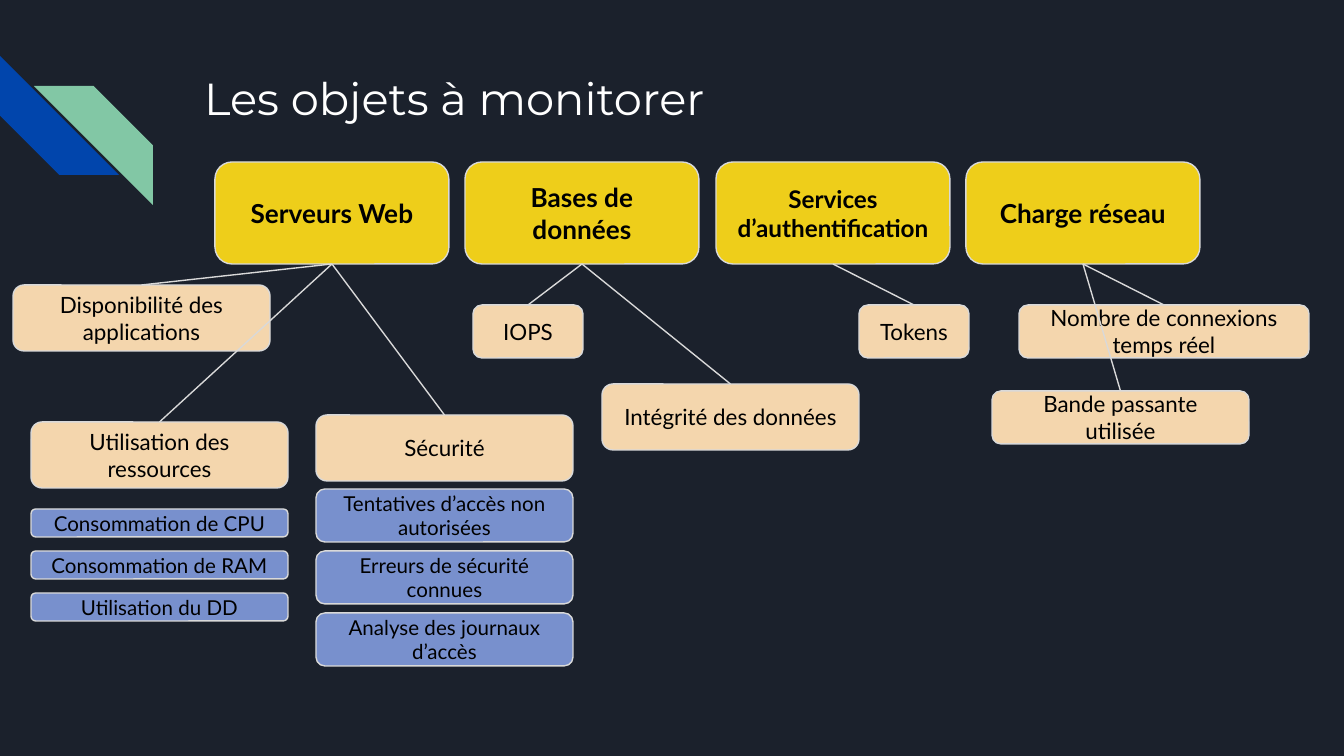
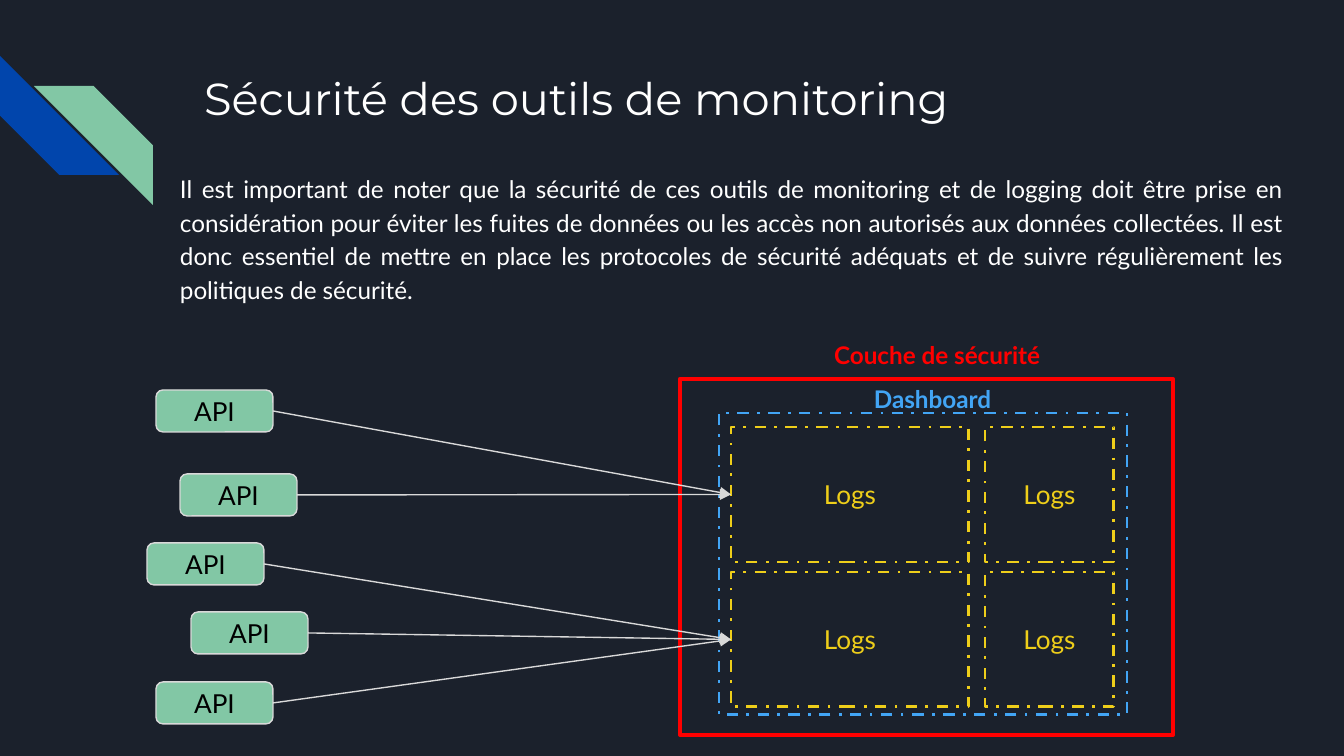
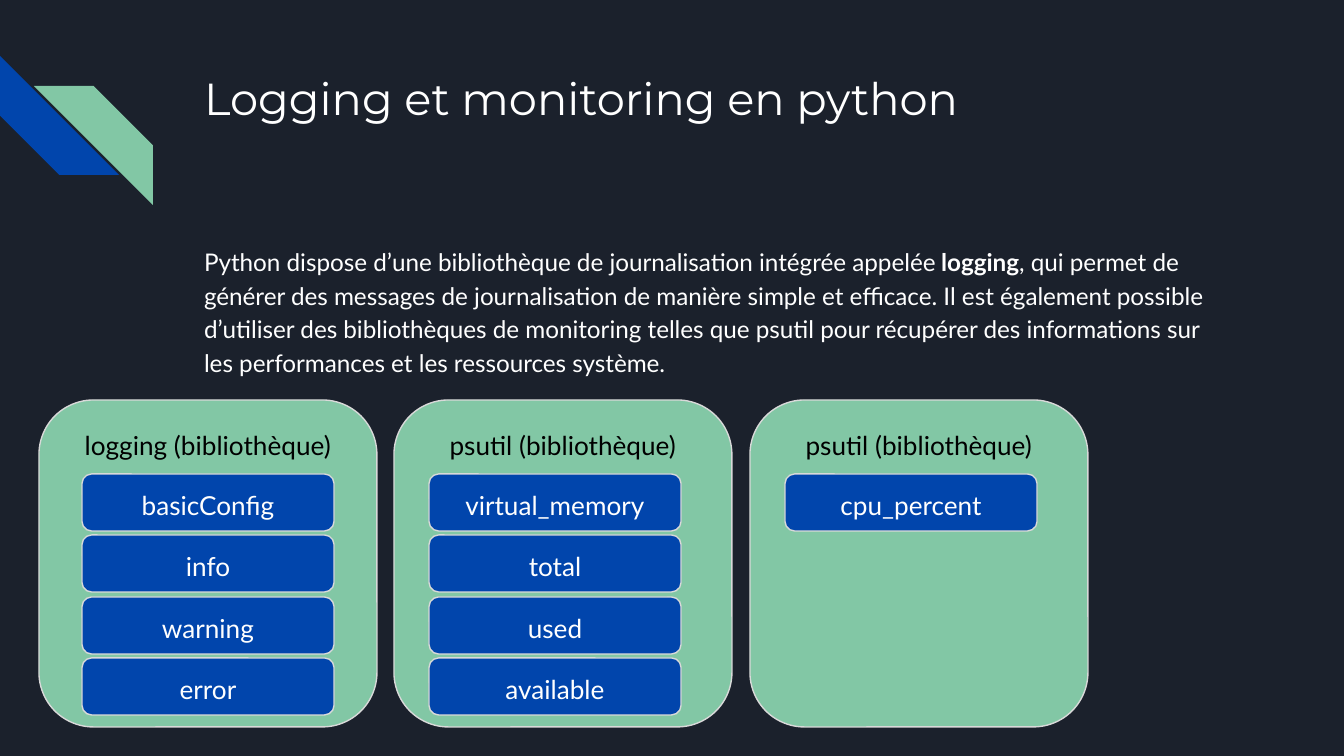
from dataclasses import dataclass

from lxml.etree import SubElement
from pptx import Presentation
from pptx.dml.color import RGBColor
from pptx.enum.dml import MSO_LINE
from pptx.enum.shapes import MSO_CONNECTOR, MSO_SHAPE
from pptx.enum.text import MSO_ANCHOR, MSO_AUTO_SIZE, PP_ALIGN
from pptx.oxml.ns import qn
from pptx.util import Emu, Inches, Pt


@dataclass(frozen=True)
class Theme:
    background: str = "1B212C"
    white: str = "FFFFFF"
    black: str = "000000"
    outline: str = "D9D9D9"
    blue: str = "0145AC"
    green: str = "82C7A5"
    yellow: str = "EECE1A"
    peach: str = "F4D6AD"
    periwinkle: str = "7890CD"
    sky: str = "42A5F5"
    red: str = "FF0000"
    title_font: str = "Montserrat"
    body_font: str = "Lato"
    title_size: int = 24
    label_size: int = 14
    body_size: int = 13
    leaf_size: int = 12
    detail_size: int = 11
    thin: float = 0.75
    dashed: float = 1.5
    frame: float = 2.25


T = Theme()
INSET = 13


def px(n):
    return Emu(round(n * Inches(10) / 1344))


def rgb(color):
    return RGBColor.from_string(color)


def place(sp, x, y, w, h):
    sp.left, sp.top, sp.width, sp.height = px(x), px(y), px(w), px(h)


def setup_frame(tf, anchor=MSO_ANCHOR.TOP, auto_size=MSO_AUTO_SIZE.NONE):
    tf.word_wrap = True
    tf.auto_size = auto_size
    tf.vertical_anchor = anchor
    tf.margin_left = tf.margin_right = tf.margin_top = tf.margin_bottom = px(INSET)


def add_run(p, text, size, color, bold=False, font=T.body_font):
    r = p.add_run()
    r.text = text
    r.font.name = font
    r.font.size = Pt(size)
    r.font.bold = bold
    r.font.color.rgb = rgb(color)


def add_title(s, text):
    sp = s.shapes.title
    place(sp, 191, 58, 1035, 134)
    setup_frame(sp.text_frame)
    p = sp.text_frame.paragraphs[0]
    p.alignment = PP_ALIGN.LEFT
    add_run(p, text, T.title_size, T.white, font=T.title_font)


def format_body(p, align):
    p.alignment = align
    p.line_spacing = 1.15
    p.space_before = Pt(0)
    p.space_after = Pt(12)


def add_label(s, at, text, color):
    sp = s.shapes.add_textbox(*map(px, at))
    setup_frame(sp.text_frame)
    p = sp.text_frame.paragraphs[0]
    p.alignment = PP_ALIGN.CENTER
    add_run(p, text, T.body_size, color, bold=True)


def add_box(s, kind, at, fill=None, line=T.outline, width=T.thin, dash=None):
    sp = s.shapes.add_shape(kind, *map(px, at))
    sp.shadow.inherit = False
    if fill:
        sp.fill.solid()
        sp.fill.fore_color.rgb = rgb(fill)
    else:
        sp.fill.background()
    if line:
        sp.line.color.rgb = rgb(line)
        sp.line.width = Pt(width)
        if dash:
            sp.line.dash_style = dash
    else:
        sp.line.fill.background()
    return sp


def write_centred(sp, text, size, color, bold=False, anchor=MSO_ANCHOR.MIDDLE):
    setup_frame(sp.text_frame, anchor)
    p = sp.text_frame.paragraphs[0]
    p.alignment = PP_ALIGN.CENTER
    add_run(p, text, size, color, bold)


def add_card(s, at, text, fill, size, color=T.black, bold=False, anchor=MSO_ANCHOR.MIDDLE):
    sp = add_box(s, MSO_SHAPE.ROUNDED_RECTANGLE, at, fill)
    write_centred(sp, text, size, color, bold, anchor)
    return sp


def add_link(s, start, start_site, end, end_site, arrow=False):
    c = s.shapes.add_connector(MSO_CONNECTOR.STRAIGHT, 0, 0, 0, 0)
    c.begin_connect(start, start_site)
    c.end_connect(end, end_site)
    c.line.color.rgb = rgb(T.outline)
    c.line.width = Pt(T.thin)
    if arrow:
        SubElement(c.line._get_or_add_ln(), qn("a:tailEnd"), type="triangle")
    SubElement(c.element.spPr, qn("a:effectLst"))


def move_stripes_to_master(prs, s):
    blue = add_box(s, MSO_SHAPE.DIAGONAL_STRIPE, (0, 56, 119, 119), T.blue, None)
    blue.rotation = 270
    green = add_box(s, MSO_SHAPE.DIAGONAL_STRIPE, (34, 86, 119, 119), T.green, None)
    green.element.spPr.find(qn("a:xfrm")).set("flipH", "1")
    for sp in (blue, green):
        prs.slide_master.shapes.element.append(sp.element)


def build_objects(s):
    add_title(s, "Les objets à monitorer")
    heads = [
        ("Serveurs Web", T.label_size),
        ("Bases de données", T.label_size),
        ("Services d’authentification", T.body_size),
        ("Charge réseau", T.label_size),
    ]
    leaves = [
        (0, "Disponibilité des applications", (13, 285, 257, 66)),
        (0, "Utilisation des ressources", (31, 422, 257, 66)),
        (0, "Sécurité", (316, 415, 257, 66)),
        (1, "IOPS", (473, 305, 110, 53)),
        (1, "Intégrité des données", (602, 384, 257, 66)),
        (2, "Tokens", (859, 305, 110, 53)),
        (3, "Nombre de connexions temps réel", (1019, 305, 290, 53)),
        (3, "Bande passante utilisée", (992, 391, 257, 53)),
    ]
    details = [
        (31, 509, 42, 28, ["Consommation de CPU", "Consommation de RAM", "Utilisation du DD"]),
        (316, 489, 62, 53, ["Tentatives d’accès non autorisées", "Erreurs de sécurité connues",
                            "Analyse des journaux d’accès"]),
    ]
    head_cards = [
        add_card(s, (215 + 501 * i // 2, 162, 234, 102), text, T.yellow, size, bold=True)
        for i, (text, size) in enumerate(heads)
    ]
    leaf_cards = [add_card(s, at, text, T.peach, T.leaf_size) for _, text, at in leaves]
    for x, y, step, h, texts in details:
        for i, text in enumerate(texts):
            add_card(s, (x, y + i * step, 257, h), text, T.periwinkle, T.detail_size)
    for (head, _, _), card in zip(leaves, leaf_cards):
        add_link(s, head_cards[head], 2, card, 0)


def build_security(s):
    add_title(s, "Sécurité des outils de monitoring")
    add_box(s, MSO_SHAPE.RECTANGLE, (680, 379, 493, 356), line=T.red, width=T.frame)
    add_box(s, MSO_SHAPE.RECTANGLE, (719, 413, 408, 302), line=T.sky, width=T.dashed,
            dash=MSO_LINE.DASH_DOT)
    add_label(s, (856, 371, 153, 42), "Dashboard", T.sky)
    add_label(s, (763, 327, 348, 42), "Couche de sécurité", T.red)

    targets = []
    for y in (427, 572):
        for x, w in ((731, 238), (985, 129)):
            sp = add_box(s, MSO_SHAPE.RECTANGLE, (x, y, w, 135), line=T.yellow,
                         width=T.dashed, dash=MSO_LINE.DASH_DOT)
            write_centred(sp, "Logs", T.label_size, T.yellow)
            targets.append(sp)
    upper, lower = targets[0], targets[2]

    apis = [(156, 390, upper), (180, 474, upper), (147, 543, lower),
            (191, 612, lower), (156, 682, lower)]
    for x, y, target in apis:
        api = add_card(s, (x, y, 117, 42), "API", T.green, T.label_size)
        add_link(s, api, 3, target, 1, arrow=True)

    sp = s.shapes.add_textbox(*map(px, (167, 157, 1128, 159)))
    setup_frame(sp.text_frame, auto_size=MSO_AUTO_SIZE.SHAPE_TO_FIT_TEXT)
    p = sp.text_frame.paragraphs[0]
    format_body(p, PP_ALIGN.JUSTIFY)
    add_run(p, "Il est important de noter que la sécurité de ces outils de monitoring et de "
               "logging doit être prise en considération pour éviter les fuites de données ou "
               "les accès non autorisés aux données collectées. Il est donc essentiel de mettre "
               "en place les protocoles de sécurité adéquats et de suivre régulièrement les "
               "politiques de sécurité.", T.body_size, T.white)


def build_python(s):
    add_title(s, "Logging et monitoring en python")
    body = s.placeholders[1]
    place(body, 191, 230, 1035, 163)
    setup_frame(body.text_frame)
    p = body.text_frame.paragraphs[0]
    pPr = p._p.get_or_add_pPr()
    pPr.set("marL", "0")
    pPr.set("indent", "0")
    SubElement(pPr, qn("a:buNone"))
    format_body(p, PP_ALIGN.LEFT)
    add_run(p, "Python dispose d’une bibliothèque de journalisation intégrée appelée ",
            T.body_size, T.white)
    add_run(p, "logging", T.body_size, T.white, bold=True)
    add_run(p, ", qui permet de générer des messages de journalisation de manière simple et "
               "efficace. Il est également possible d’utiliser des bibliothèques de monitoring "
               "telles que psutil pour récupérer des informations sur les performances et les "
               "ressources système.", T.body_size, T.white)

    libraries = [
        ("logging (bibliothèque)", 43, ["basicConfig", "info", "warning", "error"]),
        ("psutil (bibliothèque)", 35, ["virtual_memory", "total", "used", "available"]),
        ("psutil (bibliothèque)", 35, ["cpu_percent"]),
    ]
    for i, (library, indent, members) in enumerate(libraries):
        x = 39 + 711 * i // 2
        add_card(s, (x, 400, 338, 327), library, T.green, T.label_size, anchor=MSO_ANCHOR.TOP)
        for j, member in enumerate(members):
            add_card(s, (x + indent, 474 + 123 * j // 2, 252, 57), member, T.blue,
                     T.label_size, T.white, anchor=MSO_ANCHOR.TOP)


def main():
    prs = Presentation()
    prs.slide_width, prs.slide_height = px(1344), px(756)
    fill = prs.slide_master.background.fill
    fill.solid()
    fill.fore_color.rgb = rgb(T.background)
    title_only, title_body = prs.slide_layouts[5], prs.slide_layouts[1]
    pages = [(title_only, build_objects), (title_only, build_security), (title_body, build_python)]
    for layout, build in pages:
        build(prs.slides.add_slide(layout))
    move_stripes_to_master(prs, prs.slides[0])
    prs.save("out.pptx")


if __name__ == "__main__":
    main()
